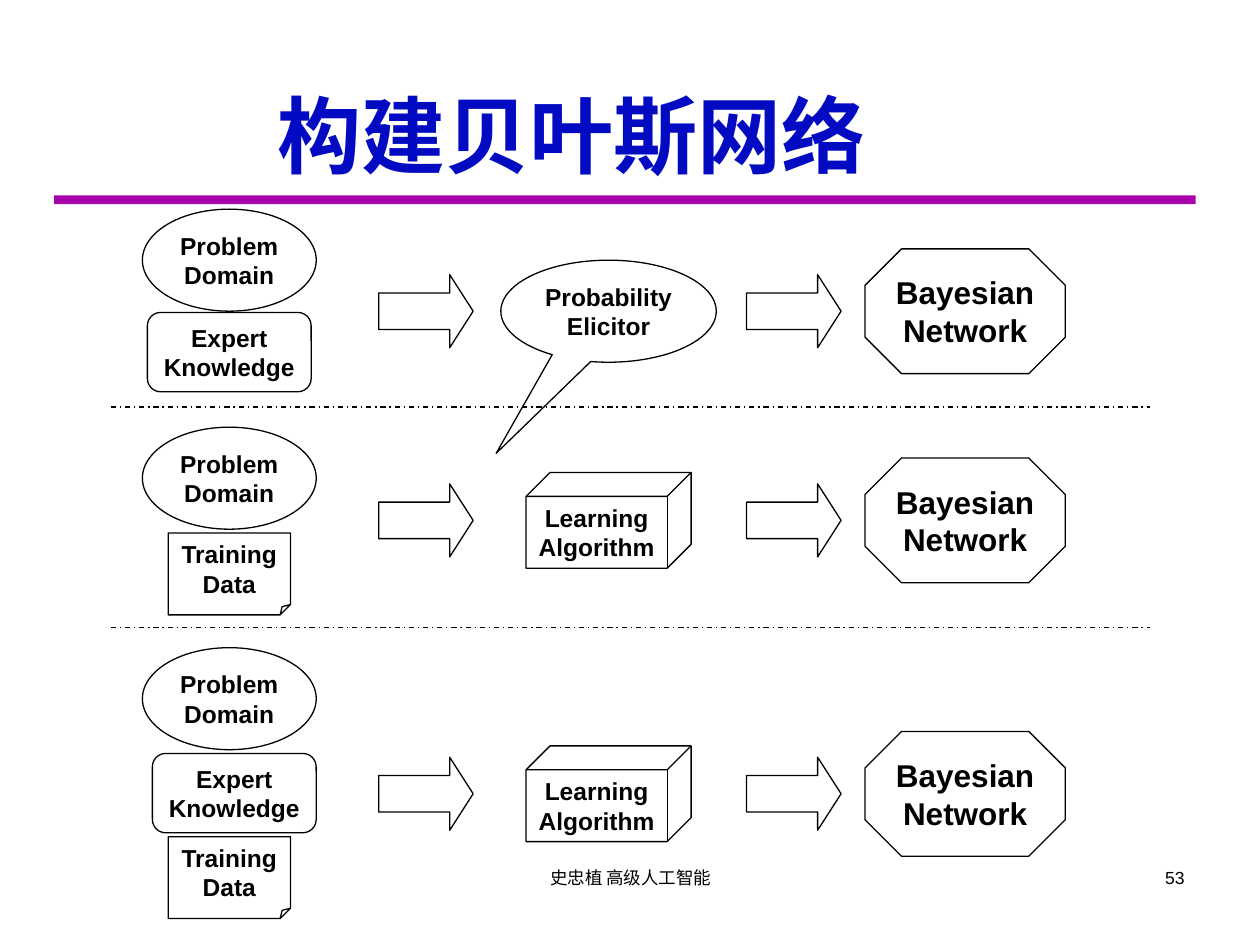
from lxml.etree import SubElement
from pptx import Presentation
from pptx.dml.color import RGBColor
from pptx.enum.dml import MSO_LINE
from pptx.enum.shapes import MSO_CONNECTOR, MSO_SHAPE
from pptx.enum.text import MSO_ANCHOR, PP_ALIGN
from pptx.oxml.ns import qn
from pptx.util import Inches, Pt

TITLE = "构建贝叶斯网络"
FOOTER = "史忠植 高级人工智能"
PAGE_NUMBER = "53"

THEME = {
    "font": "Arial",
    "ink": RGBColor(0x00, 0x00, 0x00),
    "title": RGBColor(0x02, 0x0B, 0xC2),
    "rule": RGBColor(0xA6, 0x03, 0xAB),
    "title_size": 48,
    "result_size": 18,
    "label_size": 14,
    "footer_size": 10,
    "line": 0.75,
}

# Kind of node: preset shape, width, height, adjustments (percent), lines of text, type size
NODES = {
    "domain": (MSO_SHAPE.OVAL, 1.38, 0.81, (), ("Problem", "Domain"), "label_size"),
    "expert": (MSO_SHAPE.ROUNDED_RECTANGLE, 1.3, 0.63, (16.7,), ("Expert", "Knowledge"), "label_size"),
    "data": (MSO_SHAPE.FOLDED_CORNER, 0.97, 0.65, (12.5,), ("Training", "Data"), "label_size"),
    "elicitor": (MSO_SHAPE.OVAL_CALLOUT, 1.71, 0.81, (-52.2, 139.3), ("Probability", "Elicitor"), "label_size"),
    "learner": (MSO_SHAPE.CUBE, 1.31, 0.76, (25,), ("Learning", "Algorithm"), "label_size"),
    "network": (MSO_SHAPE.OCTAGON, 1.59, 0.99, (29.3,), ("Bayesian", "Network"), "result_size"),
    "arrow": (MSO_SHAPE.RIGHT_ARROW, 0.75, 0.58, (50, 32.1), (), "label_size"),
}

# Each route to a network: middle of the flow, method, and inputs as (kind, top, shift right)
ROUTES = [
    (2.47, "elicitor", [("domain", 1.66, 0), ("expert", 2.48, 0)]),
    (4.13, "learner", [("domain", 3.39, 0), ("data", 4.23, 0)]),
    (6.30, "learner", [("domain", 5.14, 0), ("expert", 5.98, 0.04), ("data", 6.64, 0)]),
]
DIVIDERS = (3.23, 4.98)
INPUT_X, METHOD_X, NETWORK_X = 1.82, 4.83, 7.66
ARROW_XS = (3.38, 6.3)


def write(shape, lines, size, color=THEME["ink"], bold=True, align=PP_ALIGN.CENTER):
    frame = shape.text_frame
    for index, line in enumerate(lines):
        para = frame.paragraphs[0] if index == 0 else frame.add_paragraph()
        para.alignment = align
        span = para.add_run()
        span.text = line
        span.font.name = THEME["font"]
        span.font.size = Pt(THEME[size])
        span.font.bold = bold
        span.font.color.rgb = color


def add_text(page, place, text, size, **style):
    box = page.shapes.add_textbox(*map(Inches, place))
    box.text_frame.word_wrap = True
    write(box, [text], size, **style)
    return box


def adjust(shape, percents):
    """Set the preset's guides in XML, since some presets list none in python-pptx."""
    guides = shape._element.spPr.find(qn("a:prstGeom")).find(qn("a:avLst"))
    for guide in list(guides):
        guides.remove(guide)
    for number, percent in enumerate(percents, 1):
        name = "adj" if len(percents) == 1 else f"adj{number}"
        SubElement(guides, qn("a:gd"), name=name, fmla=f"val {round(percent * 1000)}")


def add_node(page, kind, center_x, top):
    preset, width, height, percents, lines, size = NODES[kind]
    node = page.shapes.add_shape(
        preset, *map(Inches, (center_x - width / 2, top, width, height)))
    adjust(node, percents)
    node.shadow.inherit = False
    node.fill.background()
    node.line.color.rgb = THEME["ink"]
    node.line.width = Pt(THEME["line"])
    node.text_frame.word_wrap = False
    node.text_frame.vertical_anchor = MSO_ANCHOR.MIDDLE
    write(node, lines, size)


def add_centered(page, kind, center_x, center_y):
    add_node(page, kind, center_x, center_y - NODES[kind][2] / 2)


def add_divider(page, y):
    divider = page.shapes.add_connector(
        MSO_CONNECTOR.STRAIGHT, *map(Inches, (0.88, y, 9.13, y)))
    divider.line.color.rgb = THEME["ink"]
    divider.line.width = Pt(THEME["line"])
    divider.line.dash_style = MSO_LINE.DASH_DOT
    SubElement(divider._element.spPr, qn("a:effectLst"))


def add_frame(page):
    """Add the title, the rule under it, and the footer."""
    rule = page.shapes.add_shape(
        MSO_SHAPE.RECTANGLE, *map(Inches, (0.43, 1.55, 9.06, 0.07)))
    rule.shadow.inherit = False
    rule.fill.solid()
    rule.fill.fore_color.rgb = THEME["rule"]
    rule.line.fill.background()
    add_text(page, (3.42, 6.83, 3.17, 0.5), FOOTER, "footer_size", bold=False)
    add_text(page, (7.17, 6.83, 2.33, 0.5), PAGE_NUMBER, "footer_size",
             bold=False, align=PP_ALIGN.RIGHT)
    title = add_text(page, (0.64, 0.64, 7.79, 0.85), TITLE, "title_size",
                     color=THEME["title"])
    title.text_frame.vertical_anchor = MSO_ANCHOR.MIDDLE


def main():
    deck = Presentation()
    deck.slide_width, deck.slide_height = Inches(10), Inches(7.5)
    page = deck.slides.add_slide(deck.slide_layouts[6])
    add_frame(page)
    for y in DIVIDERS:
        add_divider(page, y)
    for middle, method, inputs in ROUTES:
        for kind, top, shift in inputs:
            add_node(page, kind, INPUT_X + shift, top)
        add_centered(page, method, METHOD_X, middle)
        add_centered(page, "network", NETWORK_X, middle)
        for x in ARROW_XS:
            add_centered(page, "arrow", x, middle)
    deck.save("out.pptx")


if __name__ == "__main__":
    main()
